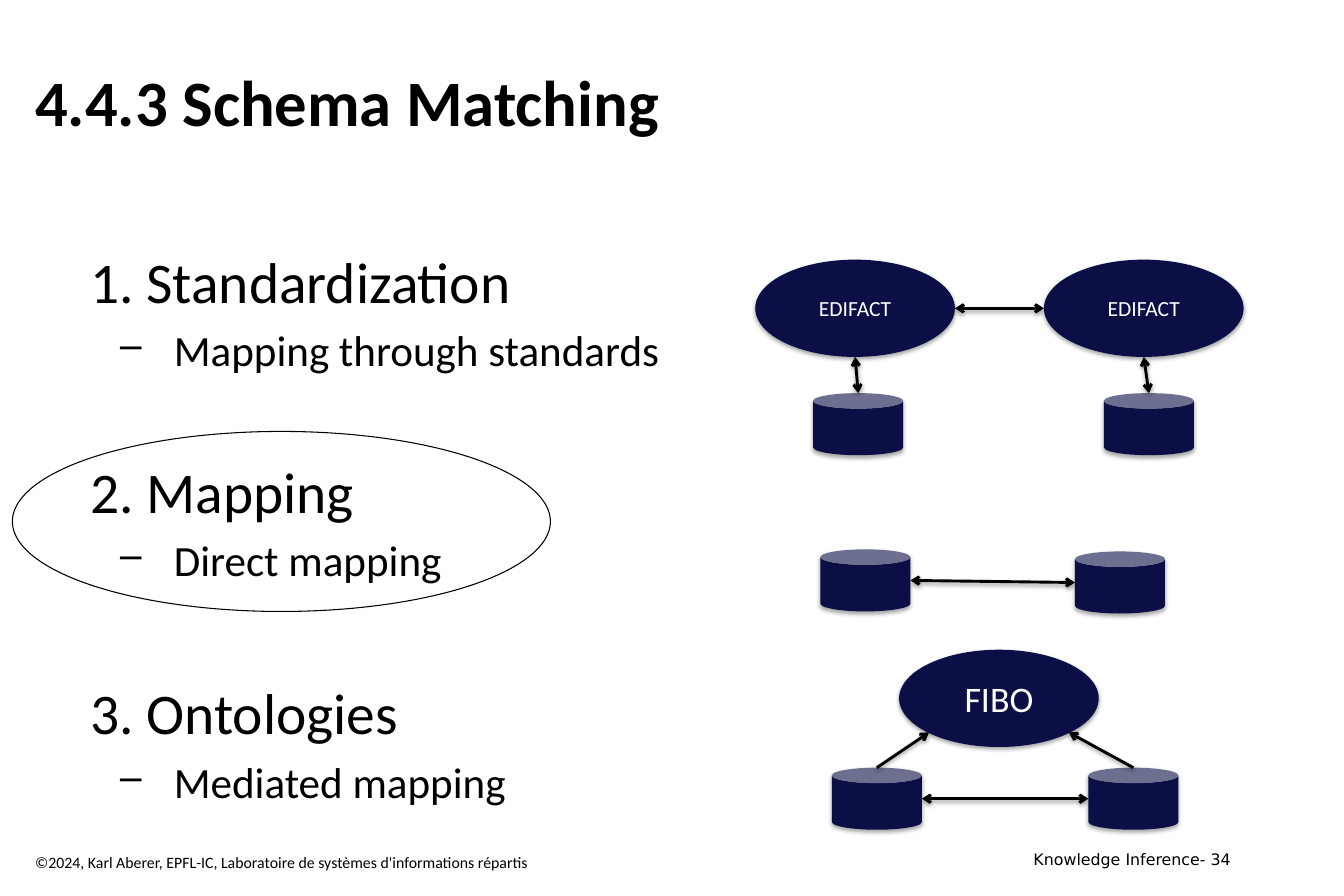
"""Build the schema matching slide: three approaches, each with a small diagram."""
import pptx
import pptx.util
import pptx.dml.color
import pptx.enum.shapes
import pptx.enum.text
import pptx.oxml.ns
from lxml import etree

TITLE = "4.4.3 Schema Matching"
COPYRIGHT = "©2024, Karl Aberer, EPFL-IC, Laboratoire de systèmes d'informations répartis"
PAGE_LABEL = "Knowledge Inference- 34"
APPROACHES = [
    ("1. Standardization", "Mapping through standards", 0),
    ("2. Mapping", "Direct mapping", 56),
    ("3. Ontologies", "Mediated mapping", 64),
]

STANDARDS = {
    "standard left": ("EDIFACT", "standard", 730, 251),
    "standard right": ("EDIFACT", "standard", 1009, 251),
    "ontology": ("FIBO", "ontology", 869, 628),
}
DATABASES = {
    "standard database left": (786, 380),
    "standard database right": (1067, 380),
    "ontology database left": (804, 742),
    "ontology database right": (1052, 742),
    "mapped database left": (793, 531),
    "mapped database right": (1039, 533),
}
LINKS = [
    ("standard left", "right", "standard right", "left", True),
    ("ontology database left", "right", "ontology database right", "left", True),
    ("mapped database left", "right", "mapped database right", "left", True),
    ("standard left", "bottom", "standard database left", "top", True),
    ("standard right", "bottom", "standard database right", "top", True),
    ("ontology database left", "top", "ontology", "lower left", False),
    ("ontology database right", "top", "ontology", "lower right", False),
]

SLIDE_SIZE = (1299, 866)
STANDARD_SIZE = (193, 94)
DATABASE_SIZE = (87, 60)
TITLE_BOX = (22, 39, 1180, 116)
BODY_BOX = (75, 232, 1169, 572)
COPYRIGHT_BOX = (22, 818, 834, 29)
PAGE_BOX = (931, 815, 271, 29)
HIGHLIGHT_BOX = (12, 417, 520, 174)
INSETS = (12, 6)
DETAIL_INDENT = (81, -52)
SITES = {
    "left": (0, 0.5), "right": (1, 0.5), "top": (0.5, 0), "bottom": (0.5, 1),
    "lower left": (0.15, 0.85), "lower right": (0.85, 0.85),
}

THEME = {
    "font": "Calibri", "page font": "DejaVu Sans",
    "ink": "000000", "navy": "0C0F46", "light": "FFFFFF",
    "title": 45, "heading": 40, "detail": 30, "ontology": 25, "standard": 15, "footer": 11,
    "detail gap": 6, "arrow width": 2, "highlight width": 0.75,
    "shape shadow": (35, 1.8), "arrow shadow": (38, 1.6), "shadow blur": 3.1,
}

ALIGN = pptx.enum.text.PP_ALIGN
ANCHOR = pptx.enum.text.MSO_ANCHOR
SHAPE = pptx.enum.shapes.MSO_SHAPE
qn = pptx.oxml.ns.qn


def px(length):
    return pptx.util.Emu(round(length * 9144))


def color(name):
    return pptx.dml.color.RGBColor.from_string(THEME[name])


def style(paragraph, size, ink="ink", font="font", bold=False):
    for run in paragraph.runs:
        run.font.name = THEME[font]
        run.font.size = pptx.util.Pt(THEME[size])
        run.font.color.rgb = color(ink)
        run.font.bold = bold


def prepare_frame(shape, anchor):
    frame = shape.text_frame
    frame.word_wrap = True
    frame.vertical_anchor = anchor
    frame.margin_left = frame.margin_right = px(INSETS[0])
    frame.margin_top = frame.margin_bottom = px(INSETS[1])
    return frame


def add_text(slide, box, text, size, anchor=ANCHOR.TOP, align=ALIGN.LEFT, **look):
    frame = prepare_frame(slide.shapes.add_textbox(*map(px, box)), anchor)
    frame.text = text
    frame.paragraphs[0].alignment = align
    style(frame.paragraphs[0], size, **look)


def add_dash(paragraph):
    properties = paragraph._p.get_or_add_pPr()
    margin, indent = DETAIL_INDENT
    properties.set("marL", str(px(margin)))
    properties.set("indent", str(px(indent)))
    etree.SubElement(properties, qn("a:buSzPct"), val="90000")
    etree.SubElement(properties, qn("a:buChar"), char="–")


def add_approaches(slide):
    frame = prepare_frame(slide.shapes.add_textbox(*map(px, BODY_BOX)), ANCHOR.TOP)
    for heading, detail, gap in APPROACHES:
        paragraph = frame.add_paragraph() if gap else frame.paragraphs[0]
        paragraph.text = heading
        paragraph.space_before = pptx.util.Pt(gap)
        style(paragraph, "heading")
        paragraph = frame.add_paragraph()
        paragraph.text = detail
        add_dash(paragraph)
        paragraph.space_before = pptx.util.Pt(THEME["detail gap"])
        style(paragraph, "detail")


def add_shadow(shape, kind):
    opacity, distance = THEME[kind]
    effects = etree.SubElement(shape.element.spPr, qn("a:effectLst"))
    shadow = etree.SubElement(
        effects, qn("a:outerShdw"), blurRad=str(pptx.util.Pt(THEME["shadow blur"])),
        dist=str(pptx.util.Pt(distance)), dir="5400000", rotWithShape="0")
    tint = etree.SubElement(shadow, qn("a:srgbClr"), val=THEME["ink"])
    etree.SubElement(tint, qn("a:alpha"), val=str(opacity * 1000))


def add_node(slide, preset, box):
    shape = slide.shapes.add_shape(preset, *map(px, box))
    shape.fill.solid()
    shape.fill.fore_color.rgb = color("navy")
    shape.line.fill.background()
    add_shadow(shape, "shape shadow")
    return shape


def site_point(box, site):
    left, top, width, height = box
    across, down = SITES[site]
    return px(left + across * width), px(top + down * height)


def add_arrow(slide, start, end, both_ways):
    arrow = slide.shapes.add_connector(
        pptx.enum.shapes.MSO_CONNECTOR.STRAIGHT, *start, *end)
    arrow.line.color.rgb = color("ink")
    arrow.line.width = pptx.util.Pt(THEME["arrow width"])
    outline = arrow.element.spPr.find(qn("a:ln"))
    for tip in ("a:headEnd", "a:tailEnd") if both_ways else ("a:tailEnd",):
        etree.SubElement(outline, qn(tip), type="arrow")
    add_shadow(arrow, "arrow shadow")


def add_diagrams(slide):
    boxes = {}
    for name, (label, size, left, top) in STANDARDS.items():
        boxes[name] = (left, top, *STANDARD_SIZE)
        frame = prepare_frame(add_node(slide, SHAPE.OVAL, boxes[name]), ANCHOR.MIDDLE)
        frame.text = label
        frame.paragraphs[0].alignment = ALIGN.CENTER
        style(frame.paragraphs[0], size, ink="light")
    for name, corner in DATABASES.items():
        boxes[name] = (*corner, *DATABASE_SIZE)
        add_node(slide, SHAPE.CAN, boxes[name])
    for source, source_site, target, target_site, both_ways in LINKS:
        add_arrow(slide, site_point(boxes[source], source_site),
                  site_point(boxes[target], target_site), both_ways)


def add_highlight(slide):
    ring = slide.shapes.add_shape(SHAPE.OVAL, *map(px, HIGHLIGHT_BOX))
    ring.shadow.inherit = False
    ring.fill.background()
    ring.line.color.rgb = color("ink")
    ring.line.width = pptx.util.Pt(THEME["highlight width"])


def main():
    presentation = pptx.Presentation()
    presentation.slide_width, presentation.slide_height = map(px, SLIDE_SIZE)
    slide = presentation.slides.add_slide(presentation.slide_layouts[6])
    add_text(slide, PAGE_BOX, PAGE_LABEL, "footer", align=ALIGN.RIGHT, font="page font")
    add_approaches(slide)
    add_text(slide, TITLE_BOX, TITLE, "title", anchor=ANCHOR.MIDDLE, bold=True)
    add_text(slide, COPYRIGHT_BOX, COPYRIGHT, "footer")
    add_diagrams(slide)
    add_highlight(slide)
    presentation.save("out.pptx")


if __name__ == "__main__":
    main()
